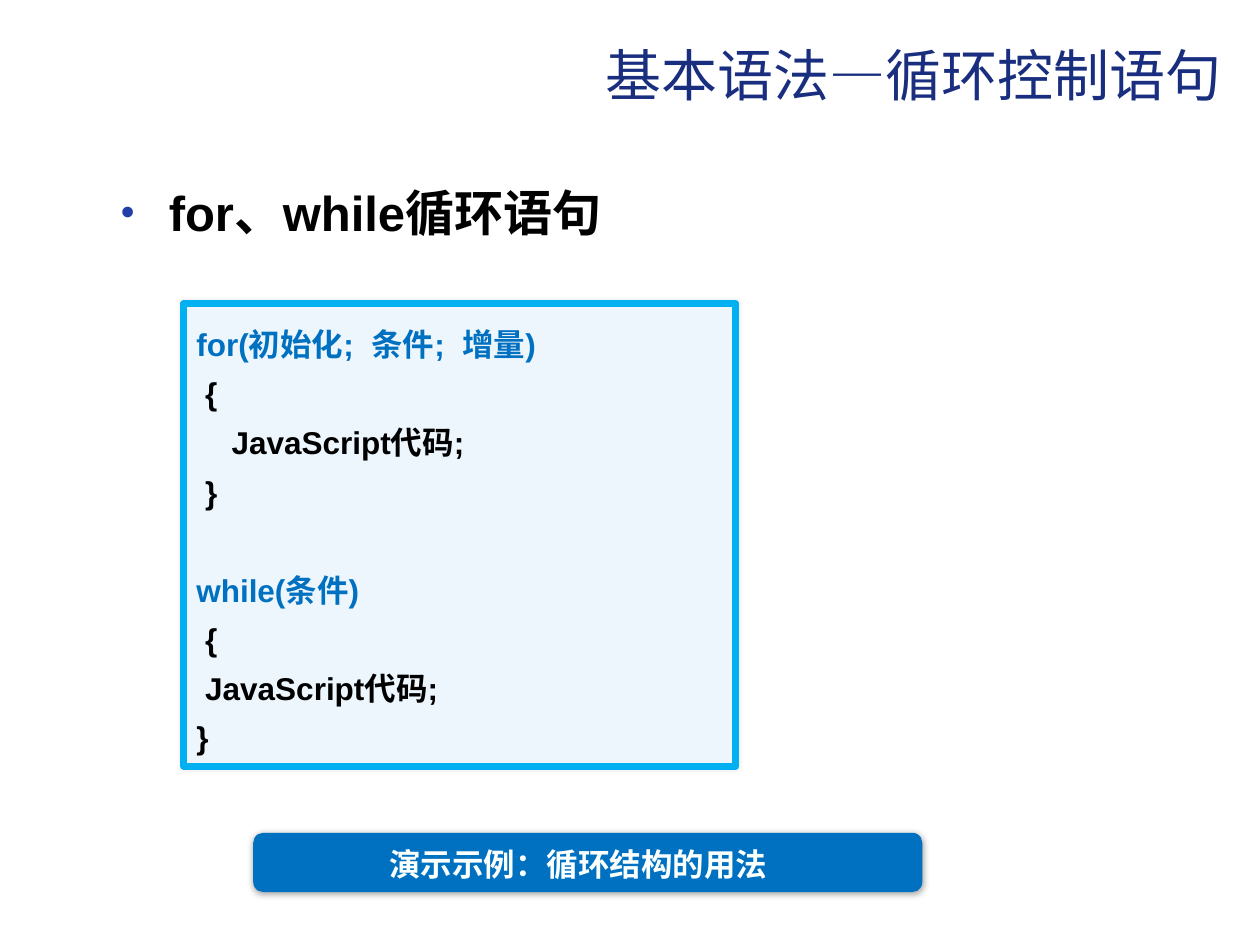
from lxml import etree
from pptx import Presentation
from pptx.dml.color import RGBColor
from pptx.enum.shapes import MSO_SHAPE
from pptx.enum.text import MSO_ANCHOR, MSO_AUTO_SIZE, PP_ALIGN
from pptx.oxml.ns import qn
from pptx.util import Inches, Pt

ROUNDED = MSO_SHAPE.ROUNDED_RECTANGLE
BANNER = MSO_SHAPE.FLOWCHART_ALTERNATE_PROCESS
TOP, MIDDLE = MSO_ANCHOR.TOP, MSO_ANCHOR.MIDDLE
LEFT, CENTER, RIGHT = PP_ALIGN.LEFT, PP_ALIGN.CENTER, PP_ALIGN.RIGHT
NO_FIT = MSO_AUTO_SIZE.NONE

THEME = {
    "font": "Arial",
    "title": "1A2E7F", "text": "000000", "bullet": "233DA9",
    "keyword": "0070C0", "banner_text": "FBFFFE",
    "panel": "EDF5FD", "border": "00B0F0", "banner": "0070C0",
    "panel_shadow": "000000", "banner_shadow": "262626",
    "title_size": 32, "body_size": 28, "code_size": 18,
}


def format_paragraph(paragraph, size, color, bold, alignment):
    paragraph.alignment = alignment
    for span in paragraph.runs:
        span.font.name = THEME["font"]
        span.font.size = Pt(THEME[size])
        span.font.bold = bold
        span.font.color.rgb = RGBColor.from_string(THEME[color])


def add_shadow(shape, color, opacity, blur, distance, angle):
    shape.shadow.inherit = False
    effects = shape._element.spPr.find(qn("a:effectLst"))
    shadow = etree.SubElement(
        effects, qn("a:outerShdw"), blurRad=str(Pt(blur)), dist=str(Pt(distance)),
        dir=str(angle * 60000), algn="ctr", rotWithShape="0")
    tint = etree.SubElement(shadow, qn("a:srgbClr"), val=THEME[color])
    etree.SubElement(tint, qn("a:alpha"), val=str(opacity * 1000))


deck = Presentation()
deck.slide_width, deck.slide_height = Inches(10), Inches(7.5)
page = deck.slides.add_slide(deck.slide_layouts[1])

title, body = page.placeholders
title.left, title.top, title.width, title.height = map(Inches, (0.8, 0.27, 9, 0.98))
body.left, body.top, body.width, body.height = map(Inches, (0.86, 1.4, 8.9, 3.17))
title.text_frame.text = "基本语法—循环控制语句"
body.text_frame.text = "for、while循环语句"
for box in (title, body):
    box.text_frame.auto_size = NO_FIT
    box.text_frame.vertical_anchor = TOP
format_paragraph(title.text_frame.paragraphs[0], "title_size", "title", False, RIGHT)
topic = body.text_frame.paragraphs[0]
format_paragraph(topic, "body_size", "text", True, LEFT)
properties = topic._p.get_or_add_pPr()
properties.set("marL", str(Inches(0.38)))
properties.set("indent", str(Inches(-0.38)))
bullet_color = etree.SubElement(properties, qn("a:buClr"))
etree.SubElement(bullet_color, qn("a:srgbClr"), val=THEME["bullet"])
etree.SubElement(properties, qn("a:buSzPct"), val="80000")
etree.SubElement(properties, qn("a:buFont"), typeface=THEME["font"])
etree.SubElement(properties, qn("a:buChar"), char="•")

panel = page.shapes.add_shape(ROUNDED, Inches(1.46), Inches(2.41), Inches(4.38), Inches(3.67))
panel.adjustments[0] = 0
panel.fill.solid()
panel.fill.fore_color.rgb = RGBColor.from_string(THEME["panel"])
panel.line.color.rgb = RGBColor.from_string(THEME["border"])
panel.line.width = Pt(4)
add_shadow(panel, "panel_shadow", 10, 3, 0, 0)

code_lines = [
    ("for(初始化;  条件;  增量)", "keyword", 0, 0),
    ("{", "text", 0.07, 0),
    ("JavaScript代码;", "text", 0.28, 0),
    ("}", "text", 0.07, 0),
    ("while(条件)", "keyword", 0, 28),
    ("{", "text", 0.07, 0),
    ("JavaScript代码;", "text", 0.07, 0),
    ("}", "text", 0, 0),
]
code = panel.text_frame
code.vertical_anchor = MIDDLE
code.text = "\n".join(line[0] for line in code_lines)
for paragraph, (_, color, indent, gap) in zip(code.paragraphs, code_lines):
    format_paragraph(paragraph, "code_size", color, True, LEFT)
    paragraph.line_spacing = 1.3
    paragraph.space_before = Pt(gap)
    paragraph._p.get_or_add_pPr().set("marL", str(Inches(indent)))

example = page.shapes.add_group_shape()
banner = example.shapes.add_shape(BANNER, Inches(2.01), Inches(6.61), Inches(5.31), Inches(0.47))
banner.fill.solid()
banner.fill.fore_color.rgb = RGBColor.from_string(THEME["banner"])
banner.line.fill.background()
add_shadow(banner, "banner_shadow", 43, 4, 1, 90)
caption = example.shapes.add_textbox(Inches(2.79), Inches(6.66), Inches(3.6), Inches(0.4))
caption.text_frame.word_wrap = True
caption.text_frame.text = "演示示例：循环结构的用法"
format_paragraph(caption.text_frame.paragraphs[0], "code_size", "banner_text", True, CENTER)

deck.save("out.pptx")
